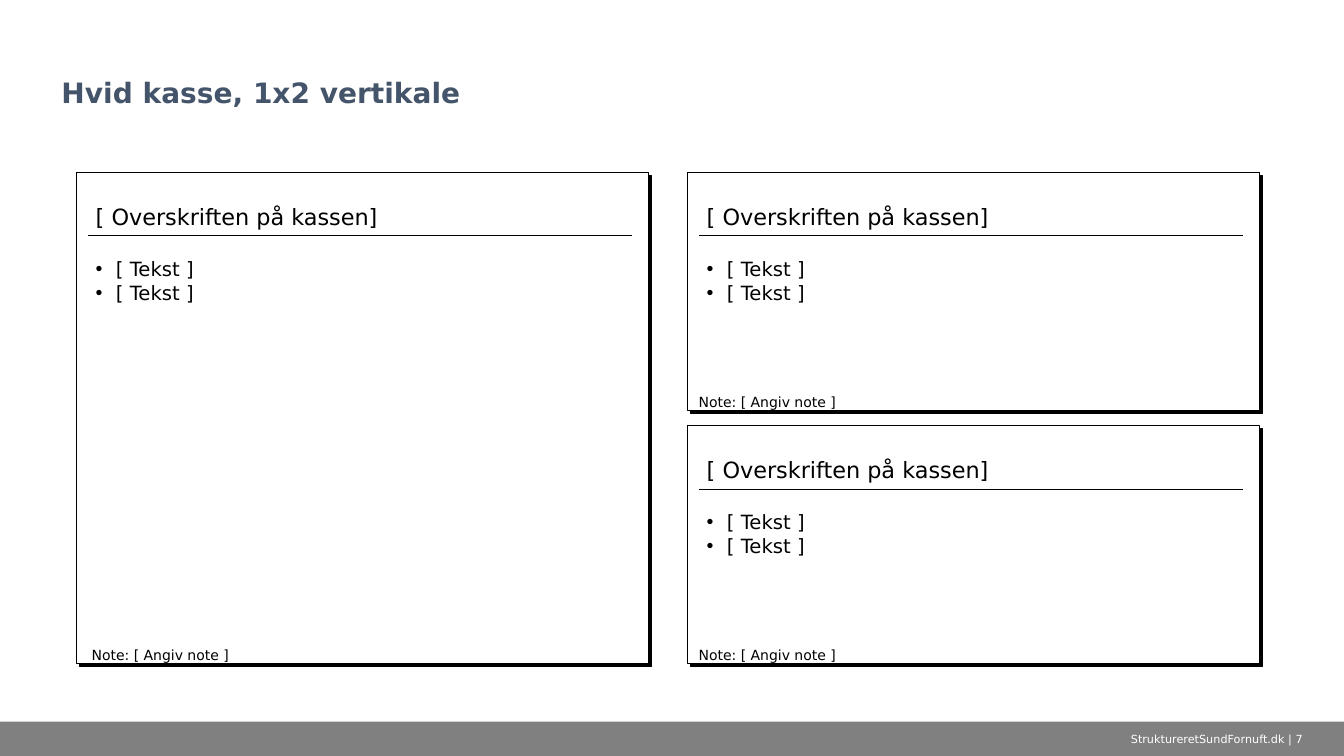
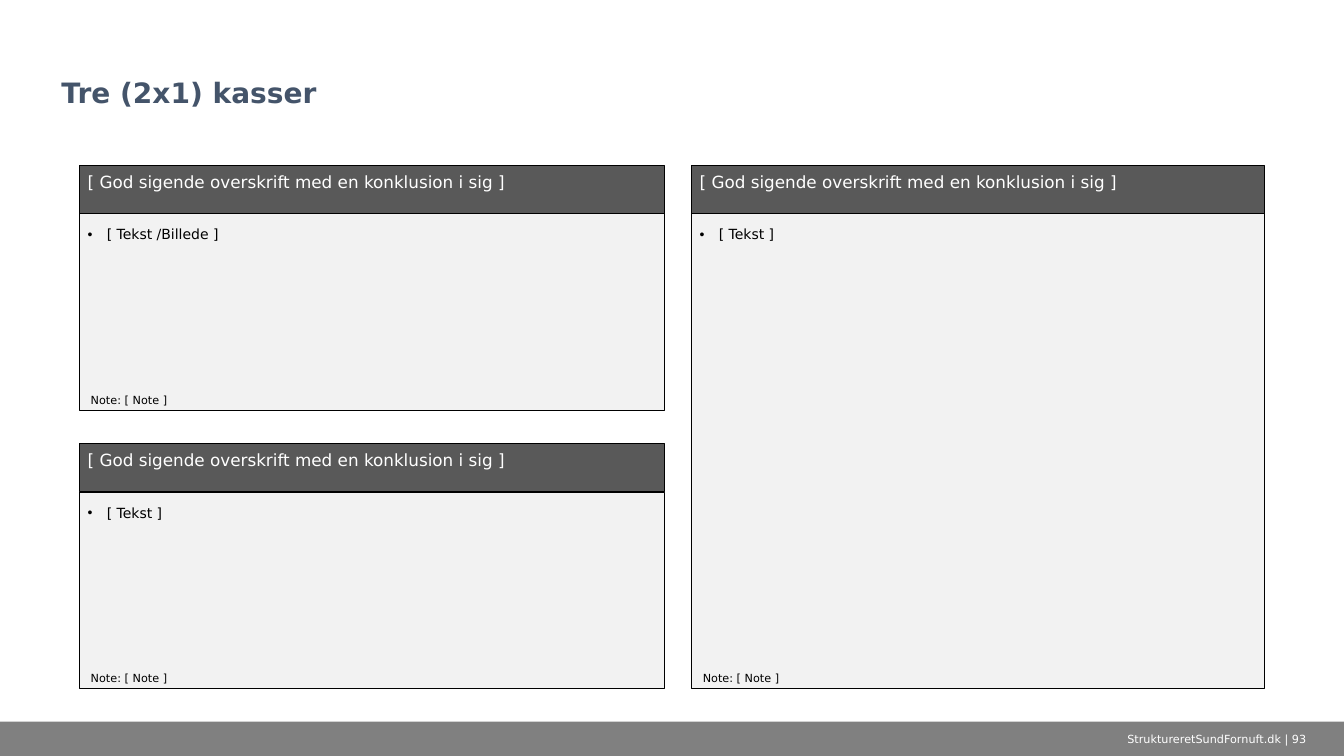
from dataclasses import dataclass

from lxml import etree
from pptx import Presentation
from pptx.dml.color import RGBColor
from pptx.enum.shapes import MSO_CONNECTOR, MSO_SHAPE
from pptx.enum.text import MSO_ANCHOR, MSO_AUTO_SIZE, PP_ALIGN
from pptx.oxml.ns import qn
from pptx.util import Inches, Pt

RECT, LINE = MSO_SHAPE.RECTANGLE, MSO_CONNECTOR.STRAIGHT
TOP, MIDDLE, BOTTOM = MSO_ANCHOR.TOP, MSO_ANCHOR.MIDDLE, MSO_ANCHOR.BOTTOM
LEFT, CENTER = PP_ALIGN.LEFT, PP_ALIGN.CENTER
FIXED, GROW = MSO_AUTO_SIZE.NONE, MSO_AUTO_SIZE.SHAPE_TO_FIT_TEXT
SLIDE_W, SLIDE_H = 13.33, 7.5
FOOTER_H = 0.34
TITLE_BOX = (0.51, 0.17, 12.31, 0.97)
INSETS = (0.08, 0.06, 0.08, 0.06)
NO_INSETS = (0, 0, 0, 0)


@dataclass(frozen=True)
class Theme:
    font: str = "DejaVu Sans"
    title: str = "44546A"
    footer: str = "808080"
    header: str = "595959"
    panel: str = "F2F2F2"
    white: str = "FFFFFF"
    black: str = "000000"
    title_size: int = 20
    card_head_size: int = 16
    card_list_size: int = 14
    card_note_size: int = 10
    panel_head_size: int = 12
    panel_list_size: int = 10
    small_size: int = 8
    line: float = 0.5


T = Theme()


@dataclass(frozen=True)
class Box:
    x: float
    y: float
    w: float
    h: float

    def emu(self):
        return [Inches(v) for v in (self.x, self.y, self.w, self.h)]

    def inner(self, dx, dy, w, h):
        """Box of the given size, offset from this box's corner."""
        return Box(self.x + dx, self.y + dy, w, h)


def stack(column, gap):
    """Two equal rows of a column."""
    h = (column.h - gap) / 2
    return [column.inner(0, i * (h + gap), column.w, h) for i in range(2)]


def add_bullet(p, indent):
    ppr = p._p.get_or_add_pPr()
    ppr.set("marL", str(Inches(indent)))
    ppr.set("indent", str(-Inches(indent)))
    etree.SubElement(ppr, qn("a:buFont"), typeface="Arial")
    etree.SubElement(ppr, qn("a:buChar"), char="•")


def write(shape, text, size, color, insets=INSETS, anchor=TOP, align=LEFT,
          bullet=None):
    """Fill a shape with styled text; bullet is the hanging indent."""
    tf = shape.text_frame
    tf.text = text
    tf.word_wrap = True
    tf.vertical_anchor = anchor
    tf.margin_left, tf.margin_top, tf.margin_right, tf.margin_bottom = [
        Inches(v) for v in insets]
    for p in tf.paragraphs:
        if bullet:
            add_bullet(p, bullet)
        p.alignment = align
        for r in p.runs:
            r.font.name = T.font
            r.font.size = Pt(size)
            r.font.color.rgb = RGBColor.from_string(color)
    return tf


def add_text(s, box, *args, **style):
    return write(s.shapes.add_textbox(*box.emu()), *args, **style)


def add_note(s, box, text, size):
    tf = add_text(s, box, text, size, T.black, insets=NO_INSETS)
    tf.auto_size = GROW


def add_rect(s, box, fill, outlined=True):
    sp = s.shapes.add_shape(RECT, *box.emu())
    sp.shadow.inherit = False
    sp.fill.solid()
    sp.fill.fore_color.rgb = RGBColor.from_string(fill)
    if outlined:
        sp.line.color.rgb = RGBColor.from_string(T.black)
        sp.line.width = Pt(T.line)
    else:
        sp.line.fill.background()
    return sp


def add_hard_shadow(sp):
    effects = sp.element.spPr.find(qn("a:effectLst"))
    shadow = etree.SubElement(effects, qn("a:outerShdw"), blurRad="0",
                              dist=str(Pt(3)), dir="2700000", algn="tl",
                              rotWithShape="0")
    etree.SubElement(shadow, qn("a:srgbClr"), val=T.black)


def add_rule(s, x, y, w):
    line = s.shapes.add_connector(LINE, Inches(x), Inches(y),
                                  Inches(x + w), Inches(y))
    line.line.color.rgb = RGBColor.from_string(T.black)
    line.line.width = Pt(T.line)
    etree.SubElement(line.element.spPr, qn("a:effectLst"))


def add_slide(prs, title, number):
    """Slide with the shared title style and footer."""
    s = prs.slides.add_slide(prs.slide_layouts[5])
    sp = s.shapes.title
    sp.left, sp.top, sp.width, sp.height = Box(*TITLE_BOX).emu()
    tf = write(sp, title, T.title_size, T.title, insets=(0.1, 0.05, 0.1, 0.05),
               anchor=BOTTOM)
    tf.auto_size = FIXED
    p = tf.paragraphs[0]
    p.line_spacing = 0.9
    p.runs[0].font.bold = True
    top = SLIDE_H - FOOTER_H
    add_rect(s, Box(0, top, SLIDE_W, FOOTER_H), T.footer, outlined=False)
    add_text(s, Box(10.81, top, 2.52, FOOTER_H),
             f"StruktureretSundFornuft.dk | {number}", T.small_size, T.white,
             anchor=MIDDLE, align=CENTER)
    return s


def add_card(s, box, note_dx=0.11):
    """White box with a hard shadow, underlined heading, list and note."""
    pad, head_h, list_dy, note_h = 0.11, 0.63, 0.78, 0.17
    w = box.w - 0.27
    add_hard_shadow(add_rect(s, box, T.white))
    add_rule(s, box.x + pad, box.y + head_h, w)
    add_text(s, box.inner(pad, 0, w, head_h), "[ Overskriften på kassen]",
             T.card_head_size, T.black, anchor=BOTTOM)
    add_text(s, box.inner(pad, list_dy, w, box.h - list_dy - note_h),
             "[ Tekst ]\n[ Tekst ]", T.card_list_size, T.black, bullet=0.2)
    add_note(s, box.inner(note_dx, box.h - note_h, w, note_h),
             "Note: [ Angiv note ]", T.card_note_size)


def add_panel(s, box, text):
    """Grey box with a dark heading band, list and note."""
    head_h, note_h = 0.48, 0.13
    body = add_rect(s, box.inner(0, head_h, box.w, box.h - head_h), T.panel)
    write(body, text, T.panel_list_size, T.black,
          insets=(0.08, 0.12, 0.08, 0.06), bullet=0.19)
    head = add_rect(s, box.inner(0, 0, box.w, head_h), T.header)
    write(head, "[ God sigende overskrift med en konklusion i sig ]",
          T.panel_head_size, T.white)
    add_note(s, box.inner(0.11, box.h - 0.17, 4.45, note_h),
             "Note: [ Note ]", T.small_size)


def white_cards_slide(prs):
    s = add_slide(prs, "Hvid kasse, 1x2 vertikale", 7)
    tall = Box(0.76, 1.71, 5.67, 4.87)
    add_card(s, tall, note_dx=0.15)
    for box in stack(tall.inner(tall.w + 0.39, 0, tall.w, tall.h), 0.15):
        add_card(s, box)


def panels_slide(prs):
    s = add_slide(prs, "Tre (2x1) kasser", 93)
    column = Box(0.79, 1.64, 5.8, 5.19)
    add_panel(s, column.inner(column.w + 0.27, 0, 5.68, column.h), "[ Tekst ]")
    for box, text in zip(stack(column, 0.33),
                         ("[ Tekst /Billede ]", "[ Tekst ]")):
        add_panel(s, box, text)


def main():
    prs = Presentation()
    prs.slide_width, prs.slide_height = Inches(SLIDE_W), Inches(SLIDE_H)
    white_cards_slide(prs)
    panels_slide(prs)
    prs.save("out.pptx")


if __name__ == "__main__":
    main()
